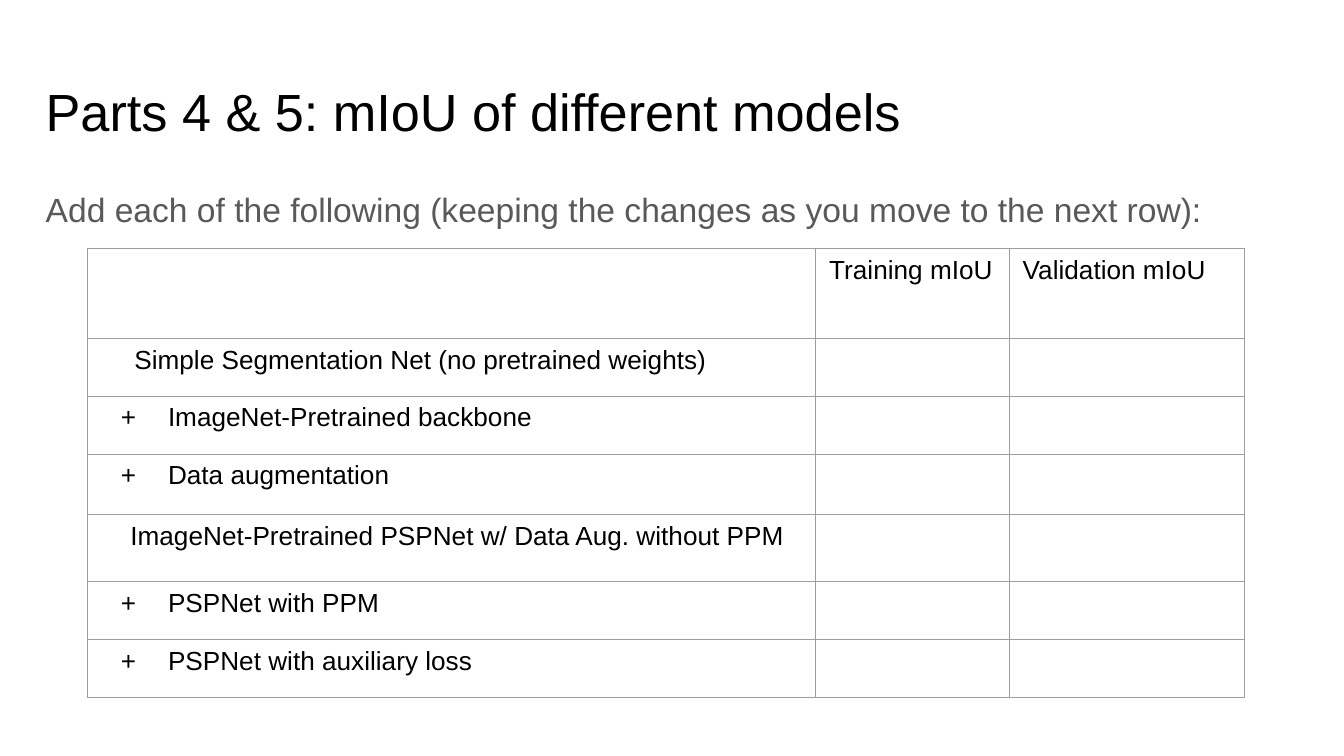
from dataclasses import dataclass

from lxml import etree
from pptx import Presentation
from pptx.dml.color import RGBColor
from pptx.enum.text import MSO_ANCHOR
from pptx.oxml.ns import qn
from pptx.slide import Slide
from pptx.table import Table, _Cell
from pptx.text.text import TextFrame, _Paragraph
from pptx.util import Inches, Pt

TOP = MSO_ANCHOR.TOP
FONT = "Arial"
BLACK = "000000"
GRAY = "595959"
BORDER = "9E9E9E"
COLUMN_WIDTHS = (5.42, 1.44, 1.75)
HEADINGS = ("", "Training mIoU", "Validation mIoU")
HEADING_HEIGHT = 0.67


@dataclass(frozen=True)
class ModelRow:
    name: str
    height: float = 0.43
    indent: float = 0.5
    hanging: float = -0.35
    bullet: str = "+"


MODELS = (
    ModelRow("Simple Segmentation Net (no pretrained weights)", indent=0.25, hanging=0, bullet=""),
    ModelRow("ImageNet-Pretrained backbone"),
    ModelRow("Data augmentation", height=0.45),
    ModelRow(
        "ImageNet-Pretrained PSPNet w/ Data Aug. without PPM",
        height=0.5, indent=0.22, hanging=0, bullet="",
    ),
    ModelRow("PSPNet with PPM"),
    ModelRow("PSPNet with auxiliary loss"),
)


def color(value: str) -> RGBColor:
    return RGBColor.from_string(value)


def write(
    frame: TextFrame, text: str, *, size: float, ink: str = BLACK, spacing: float = 1.0
) -> _Paragraph:
    para = frame.paragraphs[0]
    para.line_spacing = spacing
    span = para.add_run()
    span.text = text
    span.font.name = FONT
    span.font.size = Pt(size)
    span.font.bold = False
    span.font.color.rgb = color(ink)
    return para


def add_text(
    slide: Slide, text: str, top: float, height: float, *,
    size: float, ink: str = BLACK, spacing: float = 1.0,
) -> None:
    box = slide.shapes.add_textbox(Inches(0.34), Inches(top), Inches(9.32), Inches(height))
    frame = box.text_frame
    frame.word_wrap = True
    frame.vertical_anchor = TOP
    frame.margin_left = frame.margin_right = 0
    frame.margin_top = frame.margin_bottom = Inches(0.1)
    write(frame, text, size=size, ink=ink, spacing=spacing)


def indent(para: _Paragraph, model: ModelRow) -> None:
    properties = para._p.get_or_add_pPr()
    properties.set("marL", str(Inches(model.indent)))
    properties.set("indent", str(Inches(model.hanging)))
    if model.bullet:
        tint = etree.SubElement(properties, qn("a:buClr"))
        etree.SubElement(tint, qn("a:srgbClr"), val=BLACK)
        etree.SubElement(properties, qn("a:buFont"), typeface=FONT)
        etree.SubElement(properties, qn("a:buChar"), char=model.bullet)


def format_cell(cell: _Cell) -> None:
    properties = cell._tc.get_or_add_tcPr()
    for side in ("lnL", "lnR", "lnT", "lnB"):
        line = etree.SubElement(properties, qn(f"a:{side}"), w=str(Pt(0.75)))
        fill = etree.SubElement(line, qn("a:solidFill"))
        etree.SubElement(fill, qn("a:srgbClr"), val=BORDER)
    cell.fill.background()
    cell.margin_left = cell.margin_right = Inches(0.1)
    cell.margin_top = cell.margin_bottom = Inches(0.05)
    cell.vertical_anchor = TOP


def add_results_table(slide: Slide) -> Table:
    heights = [HEADING_HEIGHT, *(model.height for model in MODELS)]
    table = slide.shapes.add_table(
        len(heights), len(COLUMN_WIDTHS), Inches(0.65), Inches(1.85),
        Inches(sum(COLUMN_WIDTHS)), Inches(sum(heights)),
    ).table
    table.first_row = False
    table.horz_banding = False
    for column, width in zip(table.columns, COLUMN_WIDTHS):
        column.width = Inches(width)
    for row, height in zip(table.rows, heights):
        row.height = Inches(height)
    for cell in table.iter_cells():
        format_cell(cell)
    for index, heading in enumerate(HEADINGS):
        if heading:
            write(table.cell(0, index).text_frame, heading, size=14)
    for index, model in enumerate(MODELS, start=1):
        para = write(table.cell(index, 0).text_frame, model.name, size=14)
        indent(para, model)
    return table


def main() -> None:
    deck = Presentation()
    deck.slide_width = Inches(10)
    deck.slide_height = Inches(10 * 9 / 16)
    slide = deck.slides.add_slide(deck.slide_layouts[6])
    add_text(slide, "Parts 4 & 5: mIoU of different models", 0.49, 0.63, size=28)
    add_text(
        slide, "Add each of the following (keeping the changes as you move to the next row):",
        1.26, 3.74, size=18, ink=GRAY, spacing=1.15,
    )
    add_results_table(slide)
    deck.save("out.pptx")


if __name__ == "__main__":
    main()
